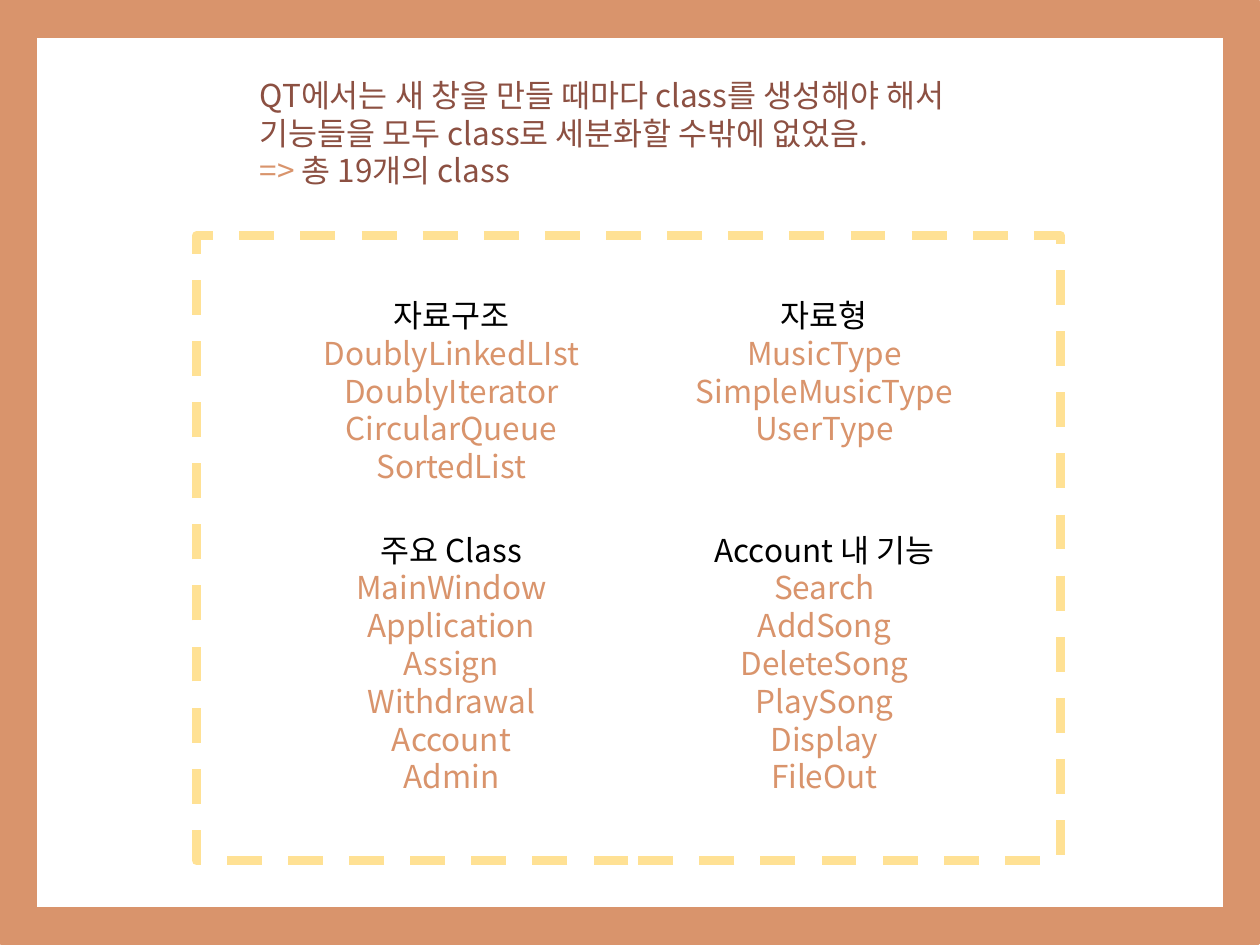
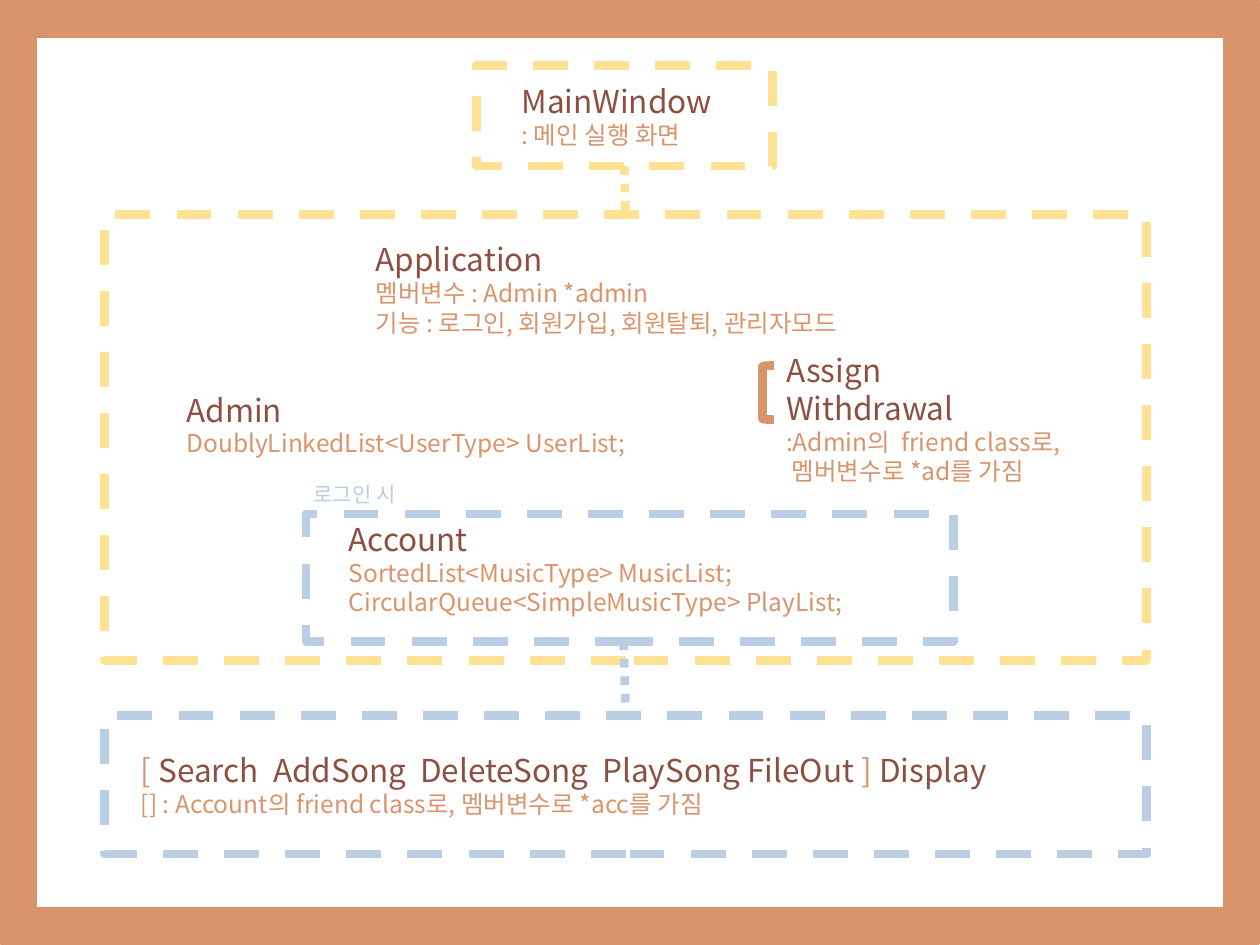
"""Build two slides that describe the classes of a music player."""
from dataclasses import dataclass

from lxml.etree import SubElement
from pptx import Presentation
from pptx.dml.color import RGBColor
from pptx.enum.dml import MSO_LINE
from pptx.enum.shapes import MSO_CONNECTOR, MSO_SHAPE
from pptx.enum.text import MSO_ANCHOR, MSO_AUTO_SIZE, PP_ALIGN
from pptx.oxml.ns import qn
from pptx.util import Cm, Pt


@dataclass(frozen=True)
class TextStyle:
    size: int
    color: str


@dataclass(frozen=True)
class Theme:
    font: str = "Noto Sans CJK KR"
    orange: str = "D9946C"
    yellow: str = "FFE194"
    blue: str = "B9CDE5"
    frame_width: int = 25
    line_width: int = 5
    name: TextStyle = TextStyle(18, "8C5042")
    group: TextStyle = TextStyle(18, "000000")
    item: TextStyle = TextStyle(18, "D9946C")
    detail: TextStyle = TextStyle(14, "D9946C")
    note: TextStyle = TextStyle(12, "B9CDE5")


THEME = Theme()
COMPARISON_LAYOUT = 4
TITLE_ONLY_LAYOUT = 5


class ClassDeck:
    def __init__(self, theme):
        self.theme = theme
        self.presentation = Presentation()
        self.presentation.slide_width = Cm(25.4)
        self.presentation.slide_height = Cm(19.05)
        self.slide = None

    def add_slide(self, layout_index):
        layout = self.presentation.slide_layouts[layout_index]
        self.slide = self.presentation.slides.add_slide(layout)
        self.outline((0.3, 0.33, 24.79, 18.39), self.theme.orange, self.theme.frame_width)

    def style_line(self, line, color, width, dash=None):
        line.color.rgb = RGBColor.from_string(color)
        line.width = Pt(width)
        if dash is not None:
            line.dash_style = dash

    def outline(self, box, color, width=None, dash=None, kind=MSO_SHAPE.RECTANGLE):
        shape = self.slide.shapes.add_shape(kind, *map(Cm, box))
        shape.shadow.inherit = False
        shape.fill.background()
        self.style_line(shape.line, color, width or self.theme.line_width, dash)
        return shape

    def dashed_box(self, box, color):
        return self.outline(box, color, dash=MSO_LINE.DASH)

    def dotted_link(self, start, end, color, upper_box=None, lower_box=None):
        connector = self.slide.shapes.add_connector(
            MSO_CONNECTOR.STRAIGHT, *map(Cm, start + end))
        if upper_box is not None:
            connector.begin_connect(upper_box, 2)
        if lower_box is not None:
            connector.end_connect(lower_box, 0)
        self.style_line(connector.line, color, self.theme.line_width, MSO_LINE.ROUND_DOT)
        SubElement(connector._element.spPr, qn("a:effectLst"))

    def add_run(self, paragraph, text, style):
        run = paragraph.add_run()
        run.text = text
        run.font.name = self.theme.font
        run.font.size = Pt(style.size)
        run.font.bold = False
        run.font.color.rgb = RGBColor.from_string(style.color)
        SubElement(run.font._element, qn("a:ea"), typeface=self.theme.font)

    def text(self, left, top, width, lines, shape=None, alignment=PP_ALIGN.LEFT):
        height = 0.25 + 0.043 * sum(line[0][1].size for line in lines)
        box = [Cm(length) for length in (left, top, width, height)]
        if shape is None:
            shape = self.slide.shapes.add_textbox(*box)
        else:
            shape.left, shape.top, shape.width, shape.height = box
        frame = shape.text_frame
        frame.word_wrap = True
        frame.auto_size = MSO_AUTO_SIZE.SHAPE_TO_FIT_TEXT
        frame.vertical_anchor = MSO_ANCHOR.TOP
        for index, line in enumerate(lines):
            paragraph = frame.add_paragraph() if index else frame.paragraphs[0]
            paragraph.alignment = alignment
            paragraph.line_spacing = 1.0
            paragraph.space_before = paragraph.space_after = Pt(0)
            properties = paragraph._p.get_or_add_pPr()
            properties.set("marL", "0")
            properties.set("indent", "0")
            SubElement(properties, qn("a:buNone"))
            for text, style in line:
                self.add_run(paragraph, text, style)

    def description(self, left, top, width, name, *details, shape=None):
        lines = [[(name, self.theme.name)]]
        lines += [[(detail, self.theme.detail)] for detail in details]
        self.text(left, top, width, lines, shape)

    def class_group(self, shape, center, top, width, heading, classes):
        lines = [[(heading, self.theme.group)]]
        lines += [[(name, self.theme.item)] for name in classes]
        self.text(center - width / 2, top, width, lines, shape, PP_ALIGN.CENTER)


def build_class_list(deck):
    theme = deck.theme
    deck.add_slide(COMPARISON_LAYOUT)
    title, *bodies = deck.slide.placeholders
    deck.text(4.98, 1.4, 15.93, [
        [("QT에서는 새 창을 만들 때마다 class를 생성해야 해서", theme.name)],
        [("기능들을 모두 class로 세분화할 수밖에 없었음.", theme.name)],
        [("=> ", theme.item), ("총 19개의 class", theme.name)],
    ], title)

    left_center, right_center = 9.1, 16.62
    upper_row, lower_row = 5.84, 10.57
    groups = [
        (left_center, upper_row, 6.43, "자료구조",
         ["DoublyLinkedLIst", "DoublyIterator", "CircularQueue", "SortedList"]),
        (right_center, upper_row, 6.43, "자료형",
         ["MusicType", "SimpleMusicType", "UserType"]),
        (left_center, lower_row, 4.88, "주요 Class",
         ["MainWindow", "Application", "Assign", "Withdrawal", "Account", "Admin"]),
        (right_center, lower_row, 5.61, "Account 내 기능",
         ["Search", "AddSong", "DeleteSong", "PlaySong", "Display", "FileOut"]),
    ]
    for body, group in zip(bodies, groups):
        deck.class_group(body, *group)
    deck.dashed_box((3.96, 4.75, 17.42, 12.6), theme.yellow)


def build_class_diagram(deck):
    theme = deck.theme
    deck.add_slide(TITLE_ONLY_LAYOUT)
    application_box = deck.dashed_box((2.11, 4.32, 21.01, 8.99), theme.yellow)
    main_window_box = deck.dashed_box((9.6, 1.32, 5.97, 2.03), theme.yellow)
    deck.dashed_box((6.17, 10.36, 13.06, 2.57), theme.blue)
    features_box = deck.dashed_box((2.11, 14.43, 21.01, 2.79), theme.blue)
    deck.dotted_link((12.6, 3.35), (12.6, 4.32), theme.yellow, main_window_box, application_box)
    deck.dotted_link((12.57, 12.93), (12.6, 14.43), theme.blue, lower_box=features_box)

    deck.description(10.26, 1.52, 4.88, "MainWindow", ": 메인 실행 화면",
                     shape=deck.slide.shapes.title)
    deck.description(7.32, 4.72, 10.74, "Application", "멤버변수 : Admin *admin",
                     "기능 : 로그인, 회원가입, 회원탈퇴, 관리자모드")
    deck.description(3.51, 7.75, 10.67, "Admin", "DoublyLinkedList<UserType> UserList;")
    deck.description(15.6, 6.96, 2.79, "Assign")
    deck.description(15.6, 7.72, 6.88, "Withdrawal", ":Admin의  friend class로,",
                     " 멤버변수로 *ad를 가짐")
    deck.outline((15.37, 7.37, 0.23, 1.09), theme.orange, kind=MSO_SHAPE.LEFT_BRACKET)
    deck.text(6.07, 9.58, 2.34, [[("로그인 시", theme.note)]])
    deck.description(6.78, 10.36, 11.84, "Account", "SortedList<MusicType> MusicList;",
                     "CircularQueue<SimpleMusicType> PlayList;")
    deck.text(2.59, 15.01, 20.04, [
        [("[ ", theme.item),
         ("Search  AddSong  DeleteSong  PlaySong FileOut ", theme.name),
         ("] ", theme.item),
         ("Display", theme.name)],
        [("[] : Account의 friend class로, 멤버변수로 *acc를 가짐", theme.detail)],
    ])


def main():
    deck = ClassDeck(THEME)
    build_class_list(deck)
    build_class_diagram(deck)
    deck.presentation.save("out.pptx")


if __name__ == "__main__":
    main()
